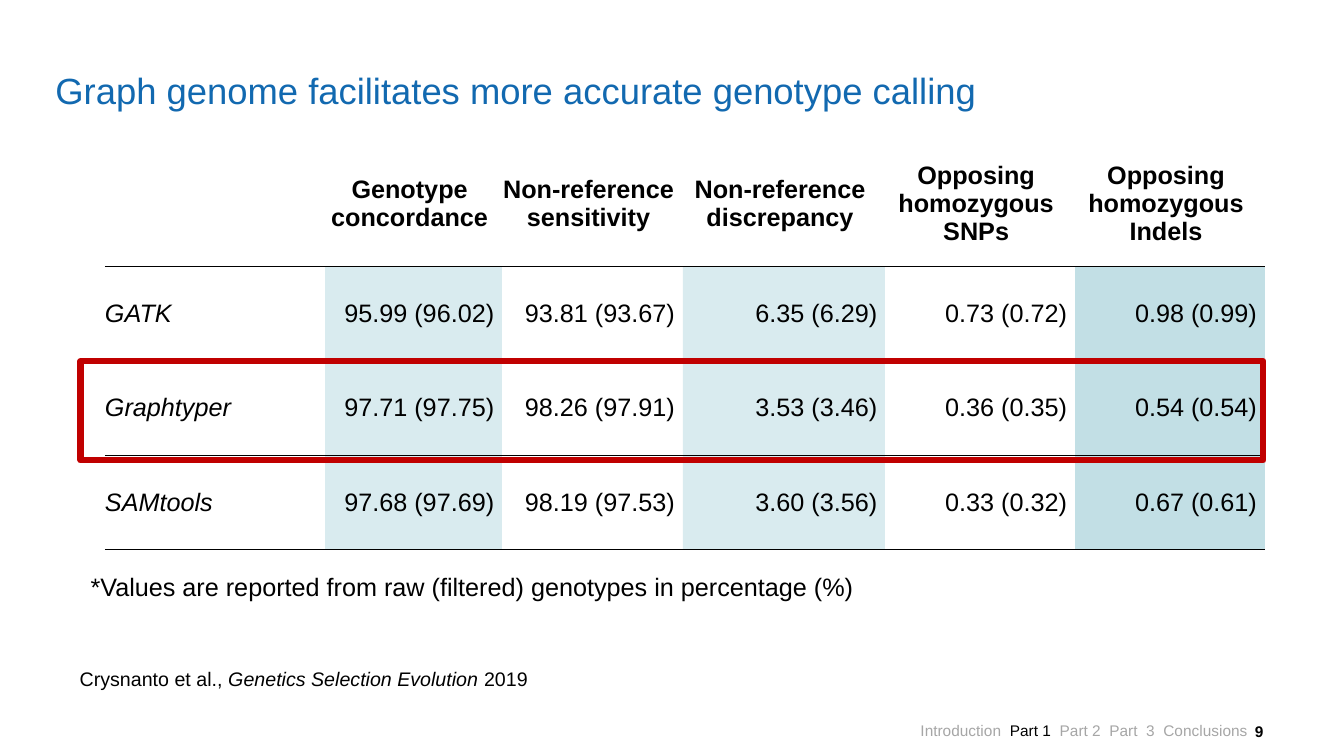
from lxml import etree
from pptx import Presentation
from pptx.dml.color import RGBColor
from pptx.enum.shapes import MSO_SHAPE
from pptx.enum.text import MSO_ANCHOR, PP_ALIGN
from pptx.oxml import parse_xml
from pptx.oxml.ns import nsdecls, qn
from pptx.util import Inches, Pt

LEFT, MID, RIGHT = PP_ALIGN.LEFT, PP_ALIGN.CENTER, PP_ALIGN.RIGHT
CENTRE, TOP, LOW = MSO_ANCHOR.MIDDLE, MSO_ANCHOR.TOP, MSO_ANCHOR.BOTTOM
RECT = MSO_SHAPE.RECTANGLE
BLACK, WHITE, GREY = "000000", "FFFFFF", "A6A6A6"
BLUE, TEAL, RED = "1269B0", "007A96", "C00000"
PLAIN = "{2D5ABB26-0587-4C30-8999-92F81FD0307C}"
hue = RGBColor.from_string

deck = Presentation()
deck.slide_width, deck.slide_height = Inches(13.33), Inches(7.5)
ROW = deck.slide_height / 90
COL = deck.slide_width / 160
slide = deck.slides.add_slide(deck.slide_layouts[5])
shapes = slide.shapes


def span(x, y, w, h):
    return round(x * COL), round(y * ROW), round(w * COL), round(h * ROW)


def write(frame, text, size=18, color=BLACK, bold=False, italic=False, align=LEFT):
    para = frame.paragraphs[0]
    para.alignment = align
    run = para.add_run()
    run.text = text
    font = run.font
    font.name, font.size, font.bold, font.italic = "Arial", Pt(size), bold, italic
    font.color.rgb = hue(color)


title = shapes.title
title.left, title.top, title.width, title.height = span(6.6, 4.2, 140.8, 11.8)
frame = title.text_frame
frame.margin_left = frame.margin_right = frame.margin_top = 0
frame.margin_bottom = round(2.6 * ROW)
frame.vertical_anchor = LOW
frame.word_wrap = True
frame.paragraphs[0].line_spacing = 0.9
write(frame, "Graph genome facilitates more accurate genotype calling", size=26, color=BLUE)

data = [
    ["", "Genotype concordance", "Non-reference sensitivity", "Non-reference discrepancy",
     "Opposing homozygous SNPs", "Opposing homozygous Indels"],
    ["GATK", "95.99 (96.02)", "93.81 (93.67)", "6.35 (6.29)", "0.73 (0.72)", "0.98 (0.99)"],
    ["Graphtyper", "97.71 (97.75)", "98.26 (97.91)", "3.53 (3.46)", "0.36 (0.35)", "0.54 (0.54)"],
    ["SAMtools", "97.68 (97.69)", "98.19 (97.53)", "3.60 (3.56)", "0.33 (0.32)", "0.67 (0.61)"],
]
wides = [26.2, 21.1, 21.5, 24.1, 22.6, 22.6]
talls = [14.9, 11.25, 11.25, 11.25]
tints = {1: 15, 3: 15, 5: 24}
table = shapes.add_table(4, 6, *span(12.5, 16.8, sum(wides), sum(talls))).table
table.first_row = table.horz_banding = False
table._tbl.tblPr.find(qn("a:tableStyleId")).text = PLAIN
for col, wide in zip(table.columns, wides):
    col.width = round(wide * COL)
for row, tall in zip(table.rows, talls):
    row.height = round(tall * ROW)

for r, line in enumerate(data):
    head = r == 0
    for c, text in enumerate(line):
        cell = table.cell(r, c)
        cell.margin_left = cell.margin_top = cell.margin_bottom = 0
        cell.margin_right = Inches(0.08)
        cell.vertical_anchor = CENTRE
        if text:
            side = MID if head else RIGHT if c else LEFT
            write(cell.text_frame, text, bold=head, italic=c == 0, align=side)
        if head:
            cell.fill.background()
        else:
            cell.fill.solid()
            cell.fill.fore_color.rgb = hue(TEAL if c in tints else WHITE)
        props = cell._tc.get_or_add_tcPr()
        if not head and c in tints:
            shade = props.find(".//" + qn("a:srgbClr"))
            etree.SubElement(shade, qn("a:alpha"), val=str(tints[c] * 1000))
        rule = Pt(1 if head else 0.5)
        props.insert(0, parse_xml(
            f'<a:lnB {nsdecls("a")} w="{rule}"><a:solidFill>'
            f'<a:srgbClr val="{BLACK}"/></a:solidFill></a:lnB>'))

mark = shapes.add_shape(RECT, *span(9.6, 43, 140.8, 11.8))
mark.shadow.inherit = False
mark.fill.background()
mark.line.color.rgb = hue(RED)
mark.line.width = Pt(4.5)

notes = [
    ((8.3, 78.8, 80.3, 4.1), 14, [
        ("Crysnanto et al., ", {}),
        ("Genetics Selection Evolution ", {"italic": True}),
        ("2019", {})]),
    ((9.6, 67.4, 95, 4.8), 18, [
        ("*Values are reported from raw (filtered) genotypes in percentage (%)", {})]),
    ((108.4, 85.3, 51.6, 3.5), 11, [
        ("Introduction ", {"color": GREY}),
        (" Part 1  ", {}),
        ("Part 2  Part  3  Conclusions", {"color": GREY})]),
]
for spot, size, runs in notes:
    frame = shapes.add_textbox(*span(*spot)).text_frame
    frame.word_wrap = True
    frame.vertical_anchor = TOP
    for text, look in runs:
        write(frame, text, size=size, **look)

frame = shapes.add_textbox(*span(146.2, 85.6, 4.2, 2.9)).text_frame
frame.margin_left = frame.margin_right = frame.margin_top = frame.margin_bottom = 0
frame.word_wrap = True
frame.vertical_anchor = CENTRE
write(frame, "9", size=11, bold=True, align=RIGHT)

deck.save("out.pptx")
